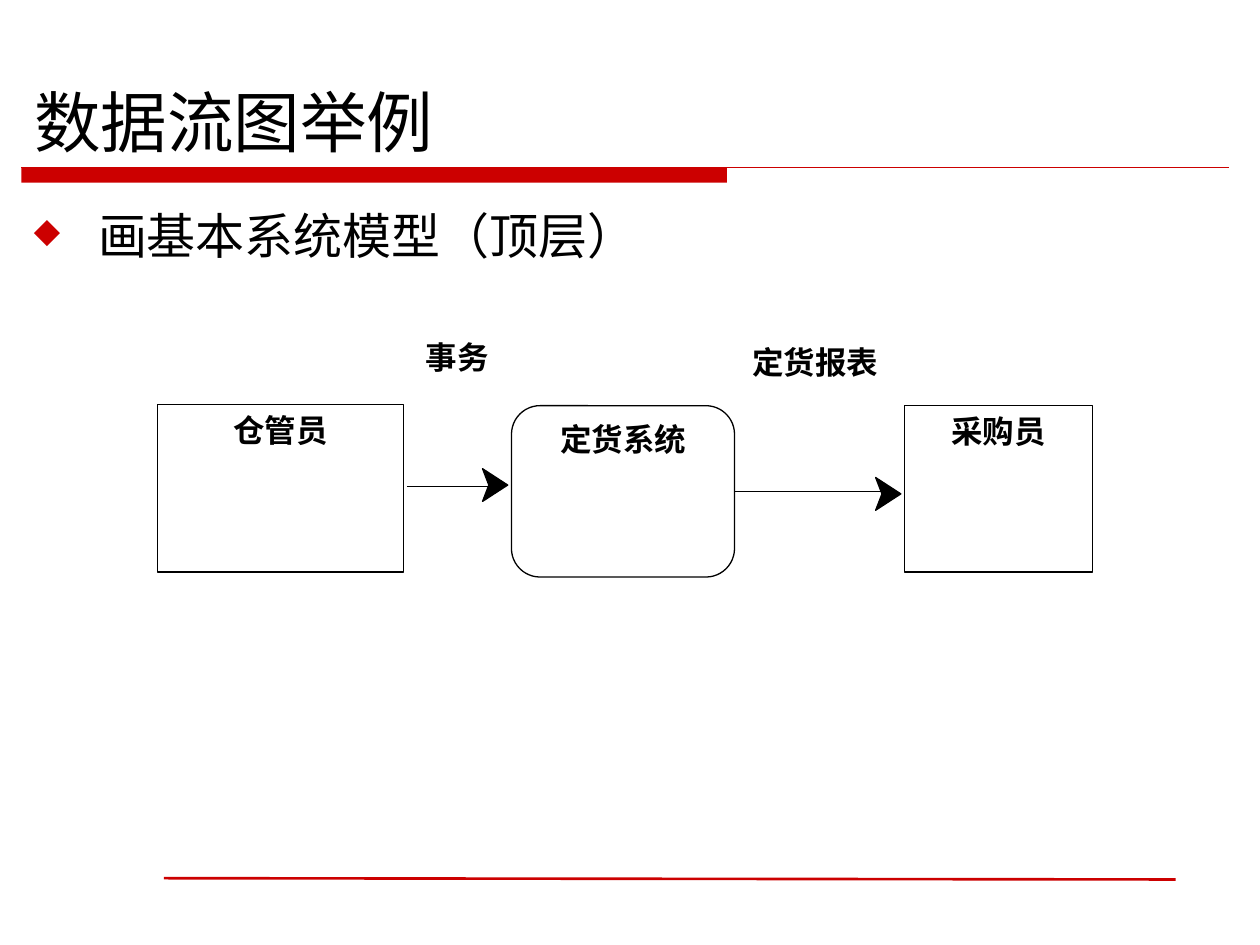
from lxml.etree import SubElement
from pptx import Presentation
from pptx.dml.color import RGBColor
from pptx.enum.shapes import MSO_CONNECTOR, MSO_SHAPE
from pptx.enum.text import MSO_ANCHOR as Anchor, PP_ALIGN as Align
from pptx.oxml.ns import qn
from pptx.util import Inches, Pt

THEME = {
    "red": RGBColor(0xCC, 0, 0), "black": RGBColor(0, 0, 0), "white": RGBColor(255, 255, 255),
    "title": 38, "body": 28, "label": 18,
    "cjk": "Noto Sans CJK SC", "body_font": "DejaVu Sans", "label_font": "Calibri",
    "thin": 0.75, "medium": 1, "rule": 1.5,
}

TITLE = ("数据流图举例", (0.17, 0.6, 9.75, 0.73))
BULLET = ("画基本系统模型（顶层）", (0.17, 1.58, 9.67, 5.33))
NODES = [
    ("仓管员", MSO_SHAPE.RECTANGLE, (1.25, 3.21, 1.95, 1.33)),
    ("定货系统", MSO_SHAPE.FLOWCHART_ALTERNATE_PROCESS, (4.06, 3.22, 1.77, 1.36)),
    ("采购员", MSO_SHAPE.RECTANGLE, (7.18, 3.22, 1.49, 1.32)),
]
FLOW_LABELS = [
    ("事务", (3.19, 2.67, 0.88, 0.89), (0.02, 0.01)),
    ("定货报表", (5.62, 2.67, 1.7, 1.19), (0.1, 0.05)),
]
FLOWS = [
    ((3.23, 3.86), (3.93, 3.86), (4.03, 3.85), None),
    ((5.83, 3.9), (7.04, 3.9), (7.15, 3.92), "定货系统"),
]
ARROWHEAD = [(-0.15, 0), (-0.2, -0.13), (0, 0), (-0.2, 0.13)]
BAND = (0.17, 1.33, 5.6, 0.12)
RULES = [((0.17, 1.33), (9.75, 1.33), "medium"), ((1.3, 6.97), (9.33, 6.98), "rule")]


def inches(values):
    return [Inches(value) for value in values]


def write(shape, text, size="label", font="label_font", bold=False, align=Align.LEFT,
          anchor=Anchor.TOP, inset=(0.1, 0.05), bullet=False):
    frame = shape.text_frame
    frame.word_wrap = True
    frame.vertical_anchor = anchor
    frame.margin_left = frame.margin_right = Inches(inset[0])
    frame.margin_top = frame.margin_bottom = Inches(inset[1])
    paragraph = frame.paragraphs[0]
    paragraph.alignment = align
    if bullet:
        props = paragraph._p.get_or_add_pPr()
        props.set("marL", str(Inches(0.51)))
        props.set("indent", str(-Inches(0.51)))
        colour = SubElement(props, qn("a:buClr"))
        SubElement(colour, qn("a:srgbClr"), val=str(THEME["red"]))
        SubElement(props, qn("a:buSzPct"), val="70000")
        SubElement(props, qn("a:buChar"), char="◆")
    run = paragraph.add_run()
    run.text = text
    run.font.size = Pt(THEME[size])
    run.font.bold = bold
    run.font.name = THEME[font]
    run.font.color.rgb = THEME["black"]
    SubElement(run._r.get_or_add_rPr(), qn("a:ea"), typeface=THEME["cjk"])


def paint(shape, fill, line):
    shape.shadow.inherit = False
    shape.fill.solid()
    shape.fill.fore_color.rgb = THEME[fill]
    if line:
        shape.line.color.rgb = THEME[line]
        shape.line.width = Pt(THEME["thin"])
    else:
        shape.line.fill.background()


def add_line(shapes, start, end, colour, width):
    line = shapes.add_connector(MSO_CONNECTOR.STRAIGHT, *inches(start + end))
    line.line.color.rgb = THEME[colour]
    line.line.width = Pt(THEME[width])
    SubElement(line._element.spPr, qn("a:effectLst"))
    return line


def add_arrowhead(shapes, tip):
    points = [inches((tip[0] + dx, tip[1] + dy)) for dx, dy in ARROWHEAD]
    builder = shapes.build_freeform(*points[0])
    builder.add_line_segments(points[1:], close=True)
    paint(builder.convert_to_shape(), "black", "black")


def main():
    deck = Presentation()
    deck.slide_width, deck.slide_height = Inches(10), Inches(7.5)
    slide = deck.slides.add_slide(deck.slide_layouts[5])
    shapes = slide.shapes

    band = shapes.add_shape(MSO_SHAPE.RECTANGLE, *inches(BAND))
    paint(band, "red", None)
    for start, end, width in RULES:
        add_line(shapes, start, end, "red", width)

    heading, heading_box = TITLE
    title = shapes.title
    title.left, title.top, title.width, title.height = inches(heading_box)
    write(title, heading, size="title", font="cjk", anchor=Anchor.BOTTOM)

    point, point_box = BULLET
    write(shapes.add_textbox(*inches(point_box)), point, size="body", font="body_font", bullet=True)

    nodes = {}
    for name, outline, box in NODES:
        nodes[name] = shapes.add_shape(outline, *inches(box))
        paint(nodes[name], "white", "black")
        write(nodes[name], name, bold=True, align=Align.CENTER)

    for label, box, inset in FLOW_LABELS:
        write(shapes.add_textbox(*inches(box)), label, bold=True, align=Align.CENTER, inset=inset)

    for start, end, tip, source in FLOWS:
        flow = add_line(shapes, start, end, "black", "thin")
        if source:
            flow.begin_connect(nodes[source], 3)
        add_arrowhead(shapes, tip)

    deck.save("out.pptx")


if __name__ == "__main__":
    main()
